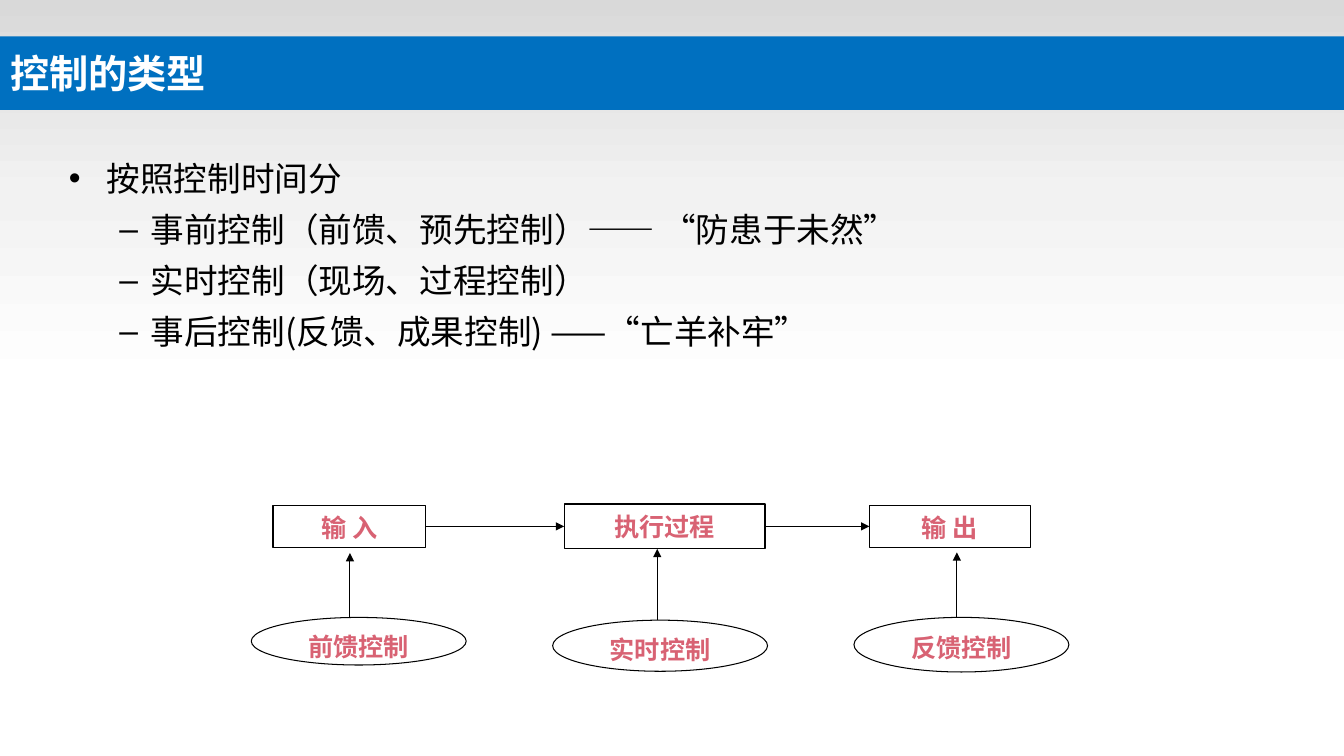
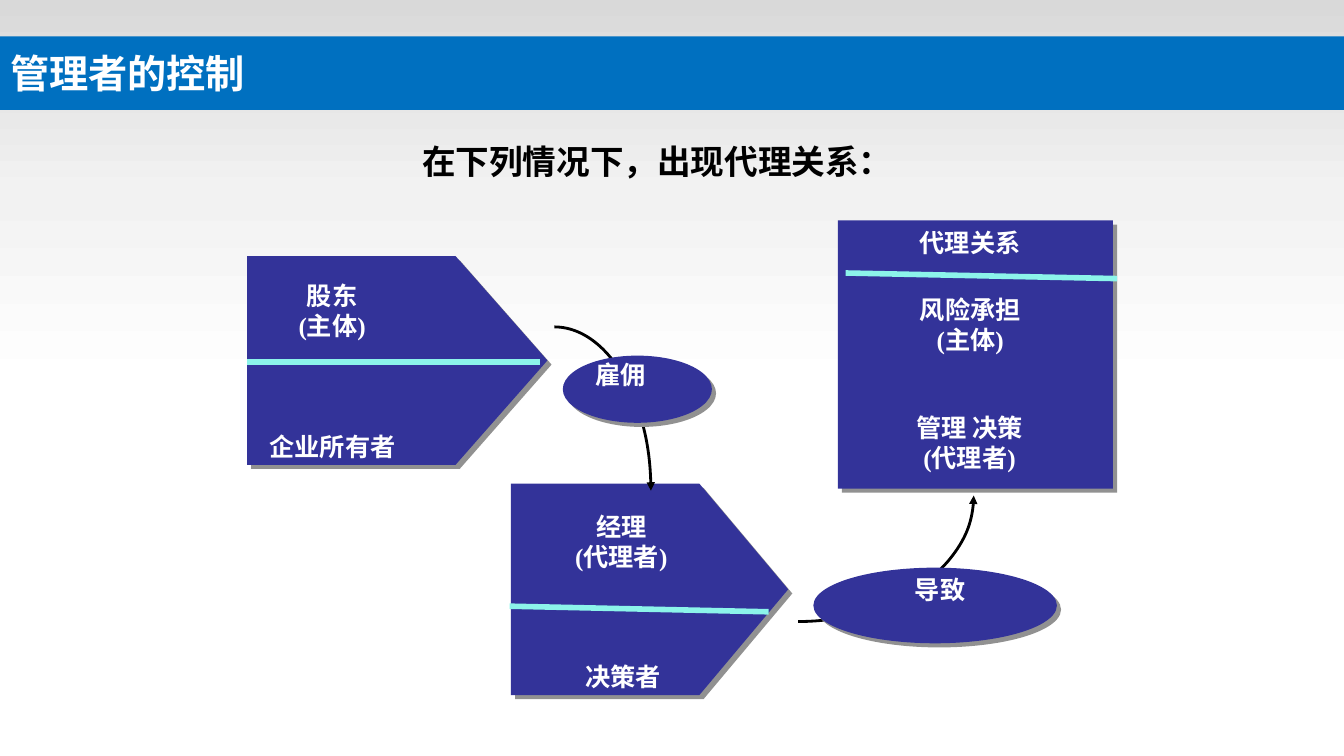
import copy

import lxml.etree
import pptx
import pptx.dml.color
import pptx.enum.shapes
import pptx.enum.text
import pptx.oxml.ns
import pptx.util

Pt = pptx.util.Pt
qn = pptx.oxml.ns.qn
rgb = pptx.dml.color.RGBColor.from_string
SHAPE = pptx.enum.shapes.MSO_SHAPE
STRAIGHT = pptx.enum.shapes.MSO_CONNECTOR.STRAIGHT
ALIGN = pptx.enum.text.PP_ALIGN
ANCHOR = pptx.enum.text.MSO_ANCHOR
SANS, SERIF = "Noto Sans CJK SC", "Times New Roman"
BLUE, NAVY, AQUA, ROSE = "0070C0", "333399", "8CF4EA", "D86273"
BLACK, WHITE, SHADOW = "000000", "FFFFFF", "919191"


def style(sp, fill=None, line=None, width=0.75, arrow=None, shadow=None):
    if hasattr(sp, "fill"):
        if fill:
            sp.fill.solid()
            sp.fill.fore_color.rgb = rgb(fill)
        else:
            sp.fill.background()
    if line:
        sp.line.color.rgb = rgb(line)
        sp.line.width = Pt(width)
    else:
        sp.line.fill.background()
    spPr = sp.element.spPr
    if arrow:
        lxml.etree.SubElement(spPr.find(qn("a:ln")), qn(arrow), type="triangle")
    effects = lxml.etree.SubElement(spPr, qn("a:effectLst"))
    if shadow:
        outer = lxml.etree.SubElement(effects, qn("a:outerShdw"), blurRad="0", dist=str(Pt(4.2)),
                                      dir="2700000", algn="ctr", rotWithShape="0")
        lxml.etree.SubElement(outer, qn("a:srgbClr"), val=shadow)


def write(sp, text, size, color, font=SERIF, bold=True, align=ALIGN.CENTER, anchor=ANCHOR.TOP, spacing=1.2):
    tf = sp.text_frame
    frame = {"word_wrap": True, "auto_size": pptx.enum.text.MSO_AUTO_SIZE.NONE,
             "vertical_anchor": anchor, "margin_top": Pt(5)}
    for k, v in frame.items():
        setattr(tf, k, v)
    for i, t in enumerate(text.split("\n")):
        p = tf.paragraphs[0] if i == 0 else tf.add_paragraph()
        p.alignment = align
        p.line_spacing = Pt(size * spacing)
        r = p.add_run()
        r.text = t
        for k, v in {"size": Pt(size), "bold": bold, "name": font}.items():
            setattr(r.font, k, v)
        r.font.color.rgb = rgb(color)
        lxml.etree.SubElement(r.font._element, qn("a:ea"), typeface=SANS)


prs = pptx.Presentation()
prs.slide_width, prs.slide_height = Pt(960), Pt(540)

slides = []
for layout, title in ((1, "控制的类型"), (5, "管理者的控制")):
    s = prs.slides.add_slide(prs.slide_layouts[layout])
    sp = s.shapes.title
    sp.left, sp.top, sp.width, sp.height = map(Pt, (0, 26, 960, 52.5))
    style(sp, BLUE)
    write(sp, title, 28, WHITE, SANS, align=ALIGN.LEFT, anchor=ANCHOR.MIDDLE)
    sp.text_frame.margin_top = Pt(3.6)
    slides.append(s)
types, agency = slides

glow = types.shapes.add_shape(SHAPE.RECTANGLE, *map(Pt, (0, 0, 960, 276)))
style(glow)
glow.fill.gradient()
glow.fill.gradient_angle = 270
gsLst = glow.element.spPr.find(".//" + qn("a:gsLst"))
gsLst.append(copy.deepcopy(gsLst[0]))
for stop, (position, color) in zip(glow.fill.gradient_stops, ((0, "D9D9D9"), (0.5, "F2F2F2"), (1, WHITE))):
    stop.position = position
    stop.color.rgb = rgb(color)
prs.slide_master.shapes.element.insert(2, glow.element)

s = types
body = s.placeholders[1]
body.left, body.top, body.width, body.height = map(Pt, (42, 106, 869, 376))
write(body, "按照控制时间分\n事前控制（前馈、预先控制）—— “防患于未然”\n实时控制（现场、过程控制）\n"
      "事后控制(反馈、成果控制) ——“亡羊补牢”", 24, BLACK, SANS, False, ALIGN.LEFT, spacing=1.32)
body.text_frame.margin_top = Pt(3.6)
for i, p in enumerate(body.text_frame.paragraphs):
    p.level = min(i, 1)
    p.space_before = Pt(4.8)
    margin, indent = ((27, -27), (58.5, -22.5))[p.level]
    pPr = p._p.get_or_add_pPr()
    pPr.set("marL", str(Pt(margin)))
    pPr.set("indent", str(Pt(indent)))

steps = []
for kind, text, x, y, w, h in (
    (SHAPE.RECTANGLE, "输 入", 195, 361, 109, 30),
    (SHAPE.RECTANGLE, "执行过程", 403, 360, 143.5, 32),
    (SHAPE.RECTANGLE, "输 出", 621, 361, 115, 30),
    (SHAPE.OVAL, "前馈控制", 179.5, 441, 153.5, 34),
    (SHAPE.OVAL, "实时控制", 394.75, 443, 153.5, 36.5),
    (SHAPE.OVAL, "反馈控制", 610, 441, 153.5, 39),
):
    sp = s.shapes.add_shape(kind, *map(Pt, (x, y, w, h)))
    style(sp, WHITE, BLACK)
    write(sp, text, 18, ROSE)
    steps.append(sp)

for x, start, end in ((250, 441, 395), (469.5, 443, 392), (683.5, 441, 394.5)):
    style(s.shapes.add_connector(STRAIGHT, *map(Pt, (x, start, x, end))), line=BLACK, arrow="a:tailEnd")
for a, b in zip(steps[:2], steps[1:3]):
    c = s.shapes.add_connector(STRAIGHT, 0, 0, 0, 0)
    c.begin_connect(a, 3)
    c.end_connect(b, 1)
    style(c, line=BLACK, arrow="a:tailEnd")

s = agency
for kind, box, adj in (
    (SHAPE.PENTAGON, (176.5, 183, 214.5, 149), 0.44),
    (SHAPE.RECTANGLE, (598.5, 157.5, 196.5, 191.5), None),
    (SHAPE.PENTAGON, (365, 345.5, 198, 151), 0.42),
):
    sp = s.shapes.add_shape(kind, *map(Pt, box))
    if adj:
        sp.adjustments[0] = adj
    style(sp, NAVY, shadow=SHADOW)

for ends in ((176.5, 258.5, 386, 258.5), (604, 195, 798, 199), (364, 433, 549, 437)):
    style(s.shapes.add_connector(STRAIGHT, *map(Pt, ends)), line=AQUA, width=4)

for cx, cy, rx, ry, angles, arrow in (
    (396, 350.5, 69, 117, (-90, 0), "a:tailEnd"),
    (570, 354, 125.5, 90, (0, 90), "a:headEnd"),
):
    sp = s.shapes.add_shape(SHAPE.ARC, *map(Pt, (cx - rx, cy - ry, 2 * rx, 2 * ry)))
    for i, angle in enumerate(angles):
        sp.adjustments[i] = angle % 360 * 0.6
    style(sp, line=BLACK, width=2, arrow=arrow)

for box in ((581, 405.5, 174, 54), (402, 254, 106.5, 48)):
    style(s.shapes.add_shape(SHAPE.OVAL, *map(Pt, box)), NAVY, shadow=SHADOW)

for text, x, y, w in (
    ("代理关系", 564, 157.5, 258),
    ("风险承担\n(主体)", 565, 205, 256),
    ("管理 决策\n(代理者)", 571, 289.5, 243),
    ("经理\n(代理者)", 362, 360, 163.5),
    ("决策者", 351.5, 467.5, 187),
    ("股东\n(主体)", 155.5, 195, 163.5),
    ("企业所有者", 144, 303, 187),
    ("导致", 635.5, 405.5, 72),
    ("雇佣", 407.5, 252, 72),
):
    h = 7 + 21.6 * len(text.split("\n"))
    write(s.shapes.add_textbox(*map(Pt, (x, y, w, h))), text, 18, WHITE)
lead = s.shapes.add_textbox(*map(Pt, (294.5, 96, 421, 36)))
write(lead, "在下列情况下，出现代理关系：", 24, BLACK, align=ALIGN.LEFT)

prs.save("out.pptx")
